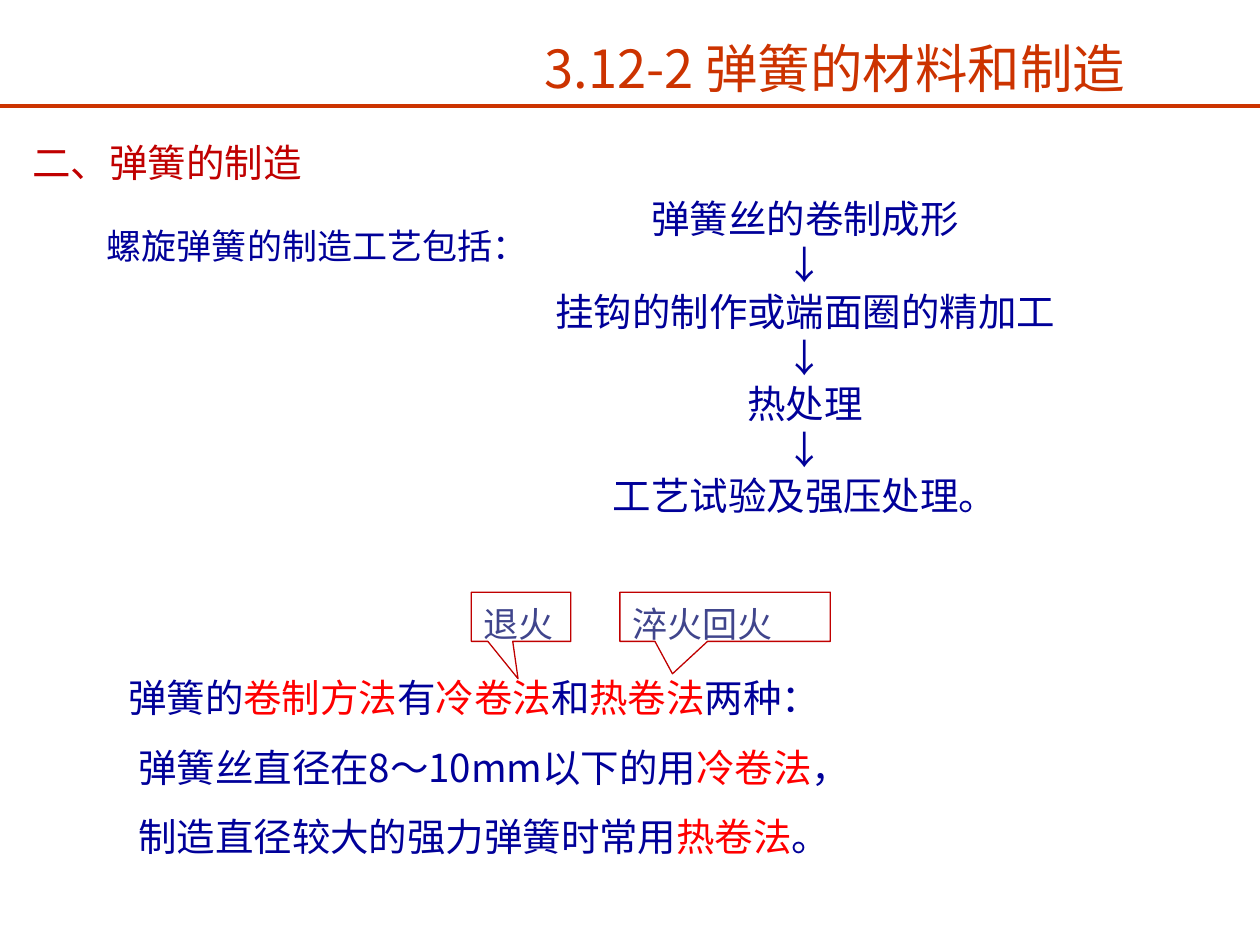
from lxml import etree
from pptx import Presentation
from pptx.dml.color import RGBColor
from pptx.enum import shapes, text
from pptx.oxml.ns import qn
from pptx.util import Inches, Pt

FONT = "Noto Sans CJK SC"
COLORS = {
    "title": "CC3300",
    "heading": "C00000",
    "body": "000099",
    "key": "FF0000",
    "callout": "40458C",
}


def color(name):
    return RGBColor.from_string(COLORS[name])


def write(shape, lines, size, color_name, align=text.PP_ALIGN.LEFT, spacing=1.2, wrap=True):
    """Write lines of text; every second part of a line split at | is a key term."""
    frame = shape.text_frame
    frame.word_wrap = wrap
    frame.auto_size = text.MSO_AUTO_SIZE.NONE
    frame.vertical_anchor = text.MSO_ANCHOR.TOP
    frame.margin_left = frame.margin_right = Inches(0.1)
    frame.margin_top, frame.margin_bottom = Inches(0.08), Inches(0.02)
    for index, line in enumerate(lines):
        paragraph = frame.add_paragraph() if index else frame.paragraphs[0]
        paragraph.alignment = align
        paragraph.line_spacing = Pt(size * spacing)
        paragraph.space_before = Pt(0)
        paragraph.font.name = FONT
        paragraph.font.size = Pt(size)
        paragraph.font.color.rgb = color(color_name)
        for position, part in enumerate(line.split("|")):
            run = paragraph.add_run()
            run.text = part
            if position % 2:
                run.font.color.rgb = color("key")
            # East Asian typeface for the Chinese characters
            properties = run._r.get_or_add_rPr()
            etree.SubElement(properties, qn("a:ea")).set("typeface", FONT)


presentation = Presentation()
presentation.slide_width, presentation.slide_height = Inches(10), Inches(7.5)
slide = presentation.slides.add_slide(presentation.slide_layouts[5])

# Title and rule below it
title = slide.shapes.title
title.left, title.top = Inches(4.22), Inches(0.21)
title.width, title.height = Inches(5.21), Inches(0.54)
write(title, ["3.12-2 弹簧的材料和制造"], 30, "title")

rule = slide.shapes.add_connector(
    shapes.MSO_CONNECTOR.STRAIGHT, Inches(0), Inches(0.84), Inches(10), Inches(0.84))
rule.line.color.rgb = color("title")
rule.line.width = Pt(2.25)
etree.SubElement(rule._element.spPr, qn("a:effectLst"))

# Section heading
heading = slide.shapes.add_textbox(Inches(0.16), Inches(1.02), Inches(4.1), Inches(0.47))
write(heading, ["二、弹簧的制造"], 22, "heading")

# Manufacturing steps
intro = slide.shapes.add_textbox(Inches(0.75), Inches(1.7), Inches(3.53), Inches(0.44))
write(intro, ["螺旋弹簧的制造工艺包括："], 20, "body", wrap=False)

steps = slide.shapes.add_textbox(Inches(3.19), Inches(1.47), Inches(6.4), Inches(2.69))
step_lines = [
    "弹簧丝的卷制成形",
    "↓",
    "挂钩的制作或端面圈的精加工",
    "↓",
    "热处理",
    "↓",
    "工艺试验及强压处理。",
]
write(steps, step_lines, 22, "body", align=text.PP_ALIGN.CENTER)

# Coiling methods
methods = slide.shapes.add_textbox(Inches(0.67), Inches(5.09), Inches(7.27), Inches(1.77))
method_lines = [
    "弹簧的|卷制方法|有|冷卷法|和|热卷法|两种：",
    "弹簧丝直径在8～10mm以下的用|冷卷法|，",
    "制造直径较大的强力弹簧时常用|热卷法|。",
]
write(methods, method_lines, 22, "body", spacing=1.8)
for paragraph, indent in zip(methods.text_frame.paragraphs, (0.25, 0.33, 0.33)):
    paragraph._p.get_or_add_pPr().set("marL", str(Inches(indent)))

# Heat treatment callouts pointing at the methods
callouts = [
    ("退火", 3.74, 0.79, (-0.03, 1.26)),
    ("淬火回火", 4.92, 1.67, (-0.25, 1.16)),
]
for label, left, width, tip in callouts:
    callout = slide.shapes.add_shape(
        shapes.MSO_SHAPE.RECTANGULAR_CALLOUT,
        Inches(left), Inches(4.7), Inches(width), Inches(0.39))
    callout.adjustments[0], callout.adjustments[1] = tip
    callout.shadow.inherit = False
    callout.fill.background()
    callout.line.color.rgb = color("heading")
    callout.line.width = Pt(0.75)
    write(callout, [label], 20, "callout")

presentation.save("out.pptx")
